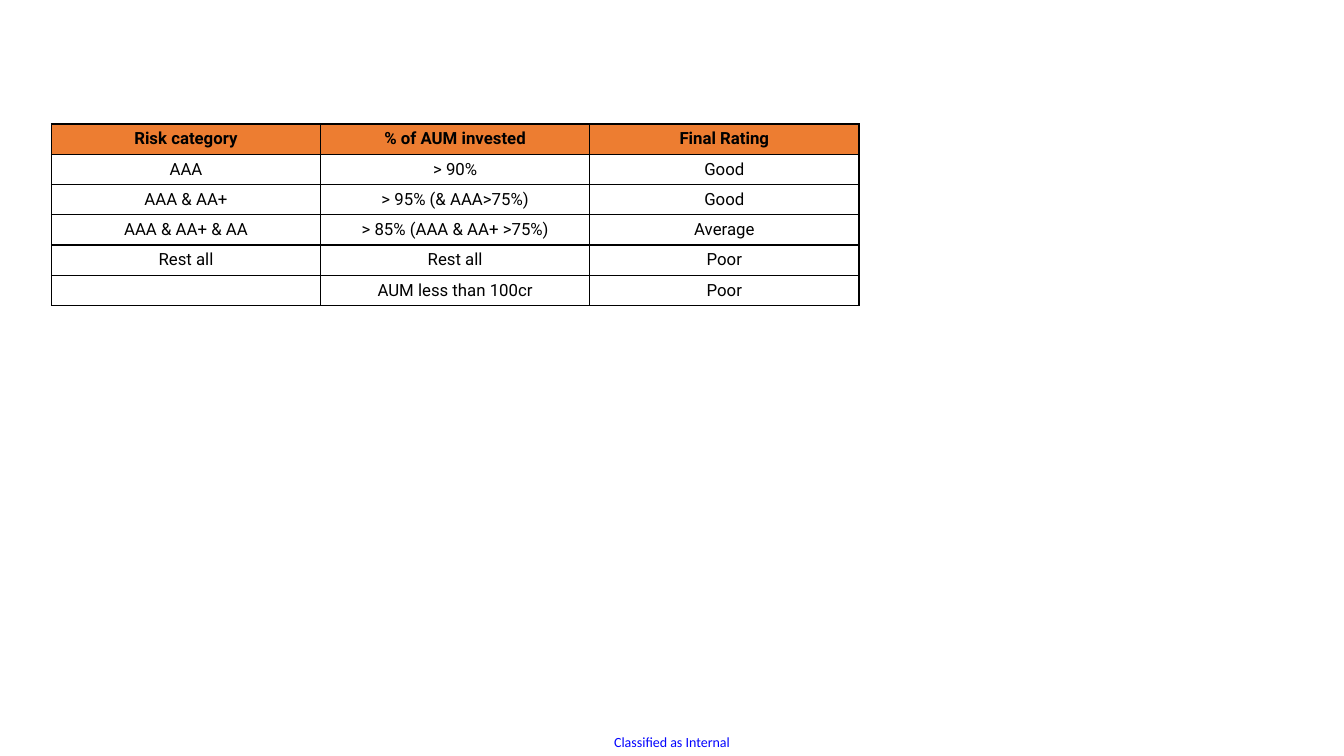
from lxml import etree
from pptx import Presentation
from pptx.dml.color import RGBColor
from pptx.enum.text import MSO_ANCHOR, PP_ALIGN
from pptx.oxml.ns import qn
from pptx.util import Inches, Pt

MIDDLE = MSO_ANCHOR.MIDDLE
CENTER = PP_ALIGN.CENTER
BLANK = 6
BLACK = "000000"
ORANGE = "ED7D31"
BLUE = "0303FE"
ROWS = [
    ("Risk category", "% of AUM invested", "Final Rating"),
    ("AAA", "> 90%", "Good"),
    ("AAA & AA+", "> 95% (& AAA>75%)", "Good"),
    ("AAA & AA+ & AA", "> 85% (AAA & AA+ >75%)", "Average"),
    ("Rest all", "Rest all", "Poor"),
    ("", "AUM less than 100cr", "Poor"),
]


def color(code):
    return RGBColor.from_string(code)


def write(frame, text, face, size, ink, bold=False):
    para = frame.paragraphs[0]
    if text:
        para.text = text
    para.alignment = CENTER
    font = para.font
    font.name = face
    font.size = Pt(size)
    font.bold = bold
    font.color.rgb = color(ink)


def add_edges(cell, code, width):
    props = cell._tc.get_or_add_tcPr()
    for side in ("lnL", "lnR", "lnT", "lnB"):
        line = etree.SubElement(props, qn(f"a:{side}"), w=str(Pt(width)))
        fill = etree.SubElement(line, qn("a:solidFill"))
        etree.SubElement(fill, qn("a:srgbClr"), val=code)


def fill_cell(cell, text, head):
    add_edges(cell, BLACK, 1)
    if head:
        cell.fill.solid()
        cell.fill.fore_color.rgb = color(ORANGE)
    else:
        cell.fill.background()
    cell.vertical_anchor = MIDDLE
    cell.margin_top = cell.margin_bottom = 0
    write(cell.text_frame, text, "Roboto", 12, BLACK, head)


def add_ratings(slide):
    frame = slide.shapes.add_table(
        len(ROWS), len(ROWS[0]),
        Inches(0.51), Inches(1.23), Inches(8.01), Inches(1.8))
    table = frame.table
    for r, row in enumerate(ROWS):
        for c, text in enumerate(row):
            fill_cell(table.cell(r, c), text, r == 0)


def add_label(slide, width):
    box = slide.shapes.add_textbox(0, Inches(7.23), width, Inches(0.27))
    frame = box.text_frame
    frame.word_wrap = True
    frame.vertical_anchor = MIDDLE
    write(frame, "Classified as Internal", "Calibri", 10, BLUE)


def main():
    deck = Presentation()
    deck.slide_width = Inches(13.33)
    deck.slide_height = Inches(7.5)
    slide = deck.slides.add_slide(deck.slide_layouts[BLANK])
    add_ratings(slide)
    add_label(slide, deck.slide_width)
    deck.save("out.pptx")


if __name__ == "__main__":
    main()
